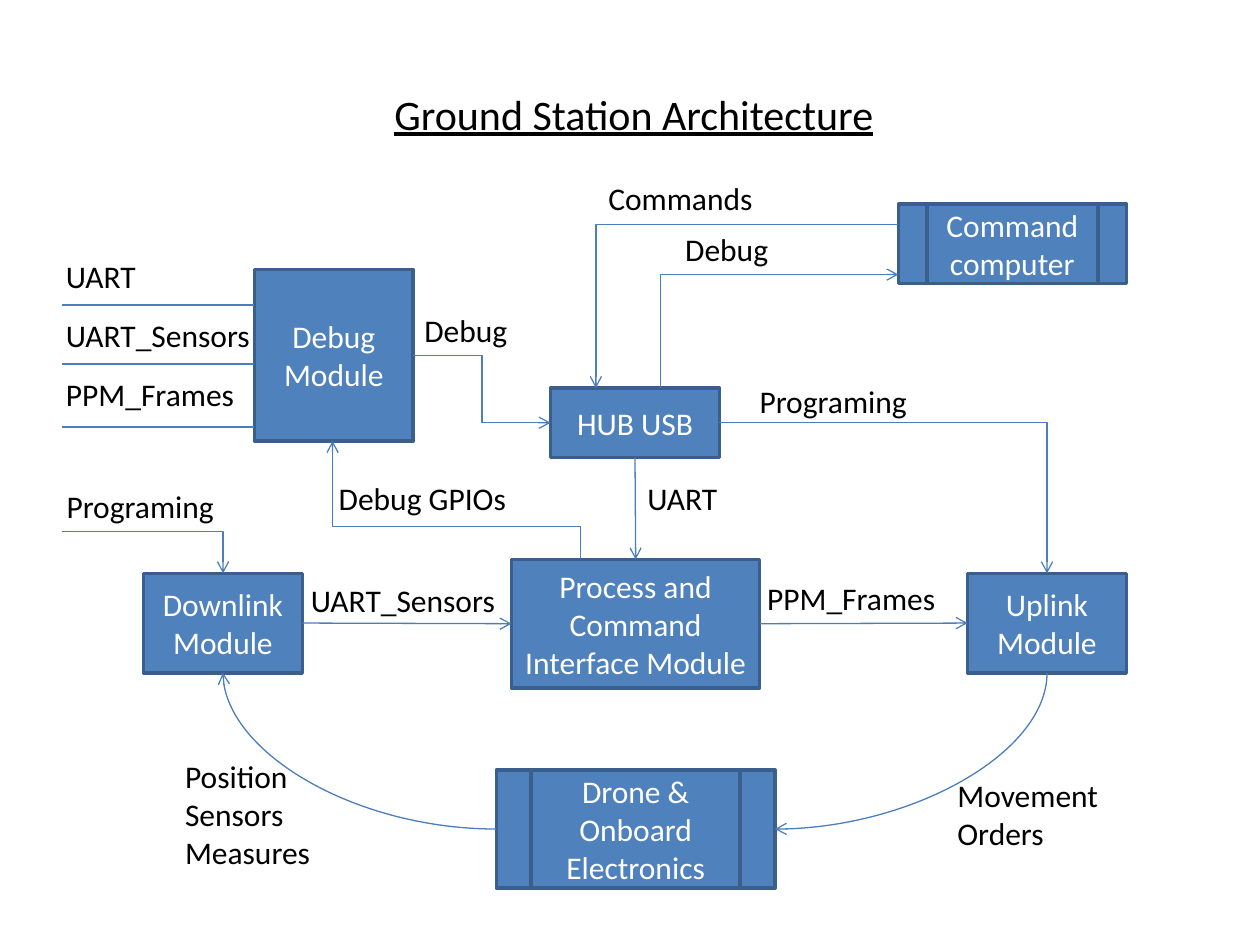
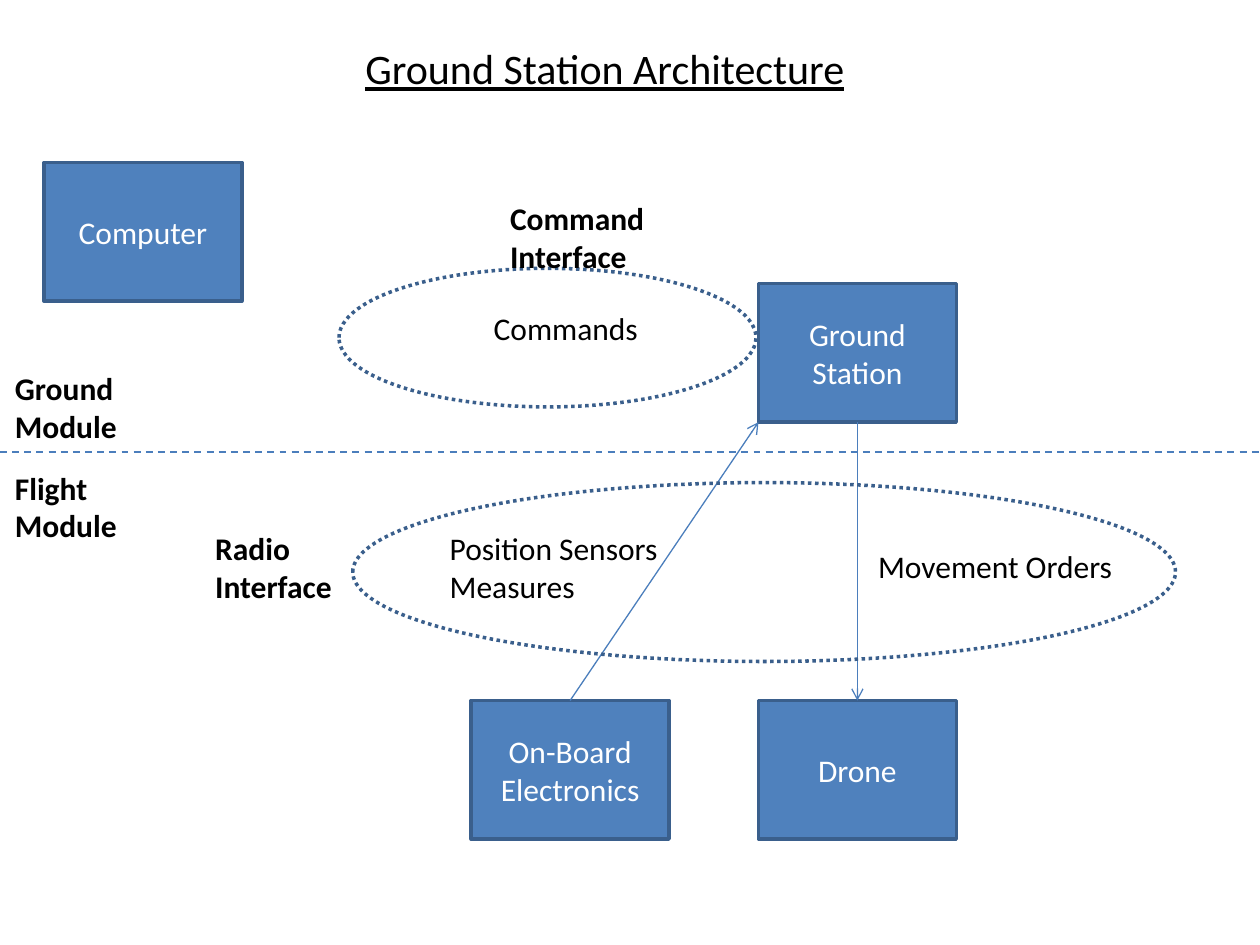
from collections import namedtuple

from lxml.etree import SubElement
from pptx import Presentation
from pptx.dml.color import RGBColor
from pptx.enum.dml import MSO_LINE
from pptx.enum.shapes import MSO_CONNECTOR, MSO_SHAPE
from pptx.enum.text import MSO_ANCHOR, MSO_AUTO_SIZE, PP_ALIGN
from pptx.oxml.ns import qn
from pptx.util import Inches, Pt

COLORS = {k: RGBColor.from_string(v) for k, v in {
    "fill": "4F81BD", "border": "3A5F8C", "link": "4B7EBC",
    "ink": "000000", "paper": "FFFFFF"}.items()}
FONT = "Calibri"
COLS, ROWS = 100, 75
PROCESS = MSO_SHAPE.FLOWCHART_PREDEFINED_PROCESS

Sides = namedtuple("Sides", "left top right bottom")


class Deck:
    """Diagram slides on a grid of 100 columns by 75 rows."""

    def __init__(self):
        self.prs = Presentation()
        self.prs.slide_width, self.prs.slide_height = Inches(10), Inches(7.5)
        self.s = None

    def grid(self, *cells):
        """Turn alternating columns and rows into lengths."""
        units = self.prs.slide_width / COLS, self.prs.slide_height / ROWS
        return [round(v * units[i % 2]) for i, v in enumerate(cells)]

    def set_text(self, sp, text, color="ink", size=18, bold=False,
                 align=PP_ALIGN.LEFT, anchor=MSO_ANCHOR.TOP):
        """Set the text of a shape in the deck's font."""
        tf = sp.text_frame
        tf.text, tf.word_wrap, tf.vertical_anchor = text, True, anchor
        p = tf.paragraphs[0]
        p.alignment = align
        p.font.name, p.font.size, p.font.bold = FONT, Pt(size), bold
        p.font.color.rgb = COLORS[color]
        return tf

    def slide(self, title, x, y, w, h):
        """Start a slide with an underlined title."""
        self.s = self.prs.slides.add_slide(self.prs.slide_layouts[5])
        sp = self.s.shapes.title
        sp.left, sp.top, sp.width, sp.height = self.grid(x, y, w, h)
        tf = self.set_text(sp, title, size=24)
        tf.auto_size = MSO_AUTO_SIZE.NONE
        tf.paragraphs[0].font.underline = True

    def label(self, text, x, y, w, h=4, bold=False):
        """Add plain text, wrapped when taller than one line."""
        sp = self.s.shapes.add_textbox(*self.grid(x, y, w, h))
        self.set_text(sp, text, bold=bold).word_wrap = h > 4

    def outline(self, kind, x, y, w, h):
        """Add a bordered shape."""
        sp = self.s.shapes.add_shape(kind, *self.grid(x, y, w, h))
        sp.shadow.inherit = False
        sp.line.color.rgb, sp.line.width = COLORS["border"], Pt(2)
        return sp

    def box(self, text, x, y, w, h, kind=MSO_SHAPE.RECTANGLE):
        """Add a filled module and return the middles of its sides."""
        sp = self.outline(kind, x, y, w, h)
        sp.fill.solid()
        sp.fill.fore_color.rgb = COLORS["fill"]
        self.set_text(sp, text, "paper", align=PP_ALIGN.CENTER,
                      anchor=MSO_ANCHOR.MIDDLE)
        cx, cy = x + w / 2, y + h / 2
        return Sides((x, cy), (cx, y), (x + w, cy), (cx, y + h))

    def zone(self, x, y, w, h):
        """Add a dotted ellipse."""
        sp = self.outline(MSO_SHAPE.OVAL, x, y, w, h)
        sp.fill.background()
        sp.line.dash_style = MSO_LINE.ROUND_DOT

    def link(self, start, end, preset="line", upright=False, bend=None,
             arrow=True, dash=None, width=0.75):
        """Join two points; an upright link leaves its start vertically."""
        (x1, y1), (x2, y2) = start, end
        if upright:
            cx, cy, dx, dy = (x1 + x2) / 2, (y1 + y2) / 2, x2 - x1, y2 - y1
            x1, y1 = cx - dy / 2, cy + dx / 2
            x2, y2 = cx + dy / 2, cy - dx / 2
        c = self.s.shapes.add_connector(
            MSO_CONNECTOR.STRAIGHT, *self.grid(x1, y1, x2, y2))
        c.line.color.rgb, c.line.width = COLORS["link"], Pt(width)
        if dash:
            c.line.dash_style = dash
        spPr = c._element.spPr
        if upright:
            spPr.find(qn("a:xfrm")).set("rot", "5400000")
        geom = spPr.find(qn("a:prstGeom"))
        geom.set("prst", preset)
        if bend:
            SubElement(geom.find(qn("a:avLst")), qn("a:gd"), name="adj1",
                       fmla=f"val {round(bend * 100000)}")
        if arrow:
            SubElement(spPr.find(qn("a:ln")), qn("a:tailEnd"), type="arrow")
        SubElement(spPr, qn("a:effectLst"))


def modules(d):
    """Draw the modules of the ground station and their signals."""
    d.slide("Ground Station Architecture", 30.3, 6.5, 40.2, 5)
    debug = d.box("Debug Module", 20.2, 21.4, 12.6, 13.6)
    hub = d.box("HUB USB", 43.7, 30.8, 13.4, 5.5)
    process = d.box("Process and Command Interface Module",
                    40.6, 44.4, 19.7, 10.2)
    down = d.box("Downlink Module", 11.4, 45.5, 12.6, 7.9)
    up = d.box("Uplink Module", 76.8, 45.5, 12.6, 7.9)
    drone = d.box("Drone & Onboard Electronics", 39.4, 61.1, 22.1, 9.4,
                  PROCESS)
    computer = d.box("Command computer", 71.3, 16.2, 18.1, 6.3, PROCESS)

    for text, y, line_y in (("UART", 19.9, 24.2),
                            ("UART_Sensors", 24.6, 28.9),
                            ("PPM_Frames", 29.3, 33.9)):
        d.label(text, 4.25, y, 18)
        d.link((4.9, line_y), (debug.left[0], line_y), arrow=False)

    d.link(down.right, process.left)
    d.link(process.right, up.left)
    d.link(hub.bottom, process.top)
    d.link(drone.left, down.bottom, "curvedConnector2")
    d.link(up.bottom, drone.right, "curvedConnector2", upright=True)
    edge = computer.left[0]
    d.link((edge, 17.8), (47.3, hub.top[1]), "bentConnector2")
    d.link((52.4, hub.top[1]), (edge, 21.8), "bentConnector2", upright=True)
    d.link((46.1, process.top[1]), (26.4, debug.bottom[1]),
           "bentConnector3", upright=True, bend=0.28)
    d.link((4.9, 42.2), down.top, "bentConnector2")
    d.link(hub.right, up.top, "bentConnector2")
    d.link(debug.right, hub.left, "bentConnector3")

    for text, x, y in (("Commands", 47.3, 13.7), ("Debug", 53.4, 17.8),
                       ("Debug", 32.7, 24.2), ("Programing", 59.3, 29.8),
                       ("UART", 50.4, 37.5), ("Debug GPIOs", 25.9, 37.5),
                       ("Programing", 4.3, 38.2),
                       ("UART_Sensors", 23.7, 45.6),
                       ("PPM_Frames", 59.9, 45.5)):
        d.label(text, x, y, 17)
    d.label("Movement Orders", 75, 61.1, 15.1, 7.1)
    d.label("Position Sensors Measures", 13.7, 59.6, 15.1, 10.1)


def interfaces(d):
    """Draw the ground and flight sides and the interfaces between them."""
    d.slide("Ground Station Architecture", 28, 2.9, 47.3, 5)
    size = 15.7, 11
    electronics = d.box("On-Board Electronics", 37.4, 55.6, *size)
    drone = d.box("Drone", 60.2, 55.6, *size)
    station = d.box("Ground Station", 60.2, 22.5, *size)
    d.box("Computer", 3.5, 12.9, *size)

    d.link(station.bottom, drone.top)
    d.link(electronics.top, (station.left[0], station.bottom[1]))
    d.link((0, 35.9), (COLS, 35.9), arrow=False, dash=MSO_LINE.DASH, width=1)
    d.zone(28, 38.3, 65.3, 14.2)
    d.zone(26.9, 21.3, 33.1, 11)

    d.label("Commands", 38.2, 24, 13.6)
    d.label("Movement Orders", 68.7, 42.9, 20.8)
    d.label("Position Sensors Measures", 34.7, 41.5, 20.8, 7.1)
    for text, x, y in (("Command Interface", 39.5, 15.3),
                       ("Radio Interface", 16.1, 41.5),
                       ("Ground Module", 0.2, 28.8),
                       ("Flight Module", 0.2, 36.7)):
        d.label(text, x, y, 13.6, 7.1, bold=True)


def main():
    """Build and save the deck."""
    d = Deck()
    modules(d)
    interfaces(d)
    d.prs.save("out.pptx")


if __name__ == "__main__":
    main()
